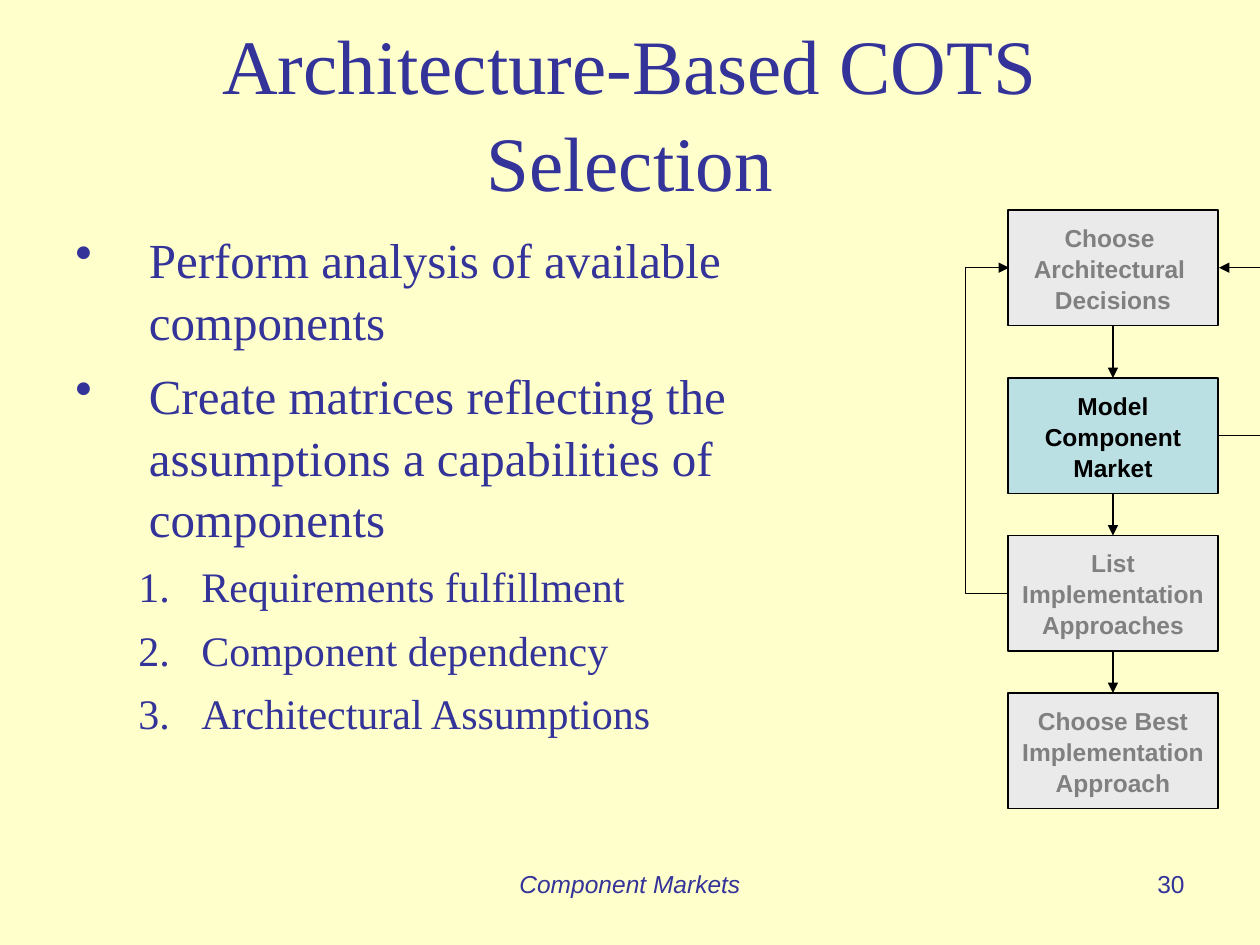
from dataclasses import dataclass

from pptx import Presentation
from pptx.dml.color import RGBColor
from pptx.enum.shapes import MSO_CONNECTOR, MSO_SHAPE
from pptx.enum.text import MSO_ANCHOR, PP_ALIGN
from pptx.oxml.xmlchemy import OxmlElement
from pptx.util import Emu, Pt

SCALE = 7620  # EMU per px, 120 px to the inch
COLORS = {
    "page": "FFFFCC", "navy": "333399", "black": "000000",
    "gray": "808080", "pale": "EAEAEA", "teal": "BBE0E3",
}
SERIF, SANS = "Times New Roman", "Arial"
LEFT, WIDE, HIGH = 960, 200, 110


@dataclass(frozen=True)
class Style:
    size: int
    face: str
    color: str = "navy"
    bold: bool = False
    slant: bool = False
    align: PP_ALIGN = PP_ALIGN.LEFT
    lead: float = 1.05


@dataclass(frozen=True)
class Level:
    style: Style
    margin: int
    hang: int
    before: int
    tag: str
    attrs: tuple[str, str]


@dataclass(frozen=True)
class Step:
    top: int
    lines: tuple[str, ...]
    live: bool = False

    @property
    def mid(self) -> int:
        return self.top + HIGH // 2

    @property
    def base(self) -> int:
        return self.top + HIGH


MAIN = Level(Style(28, SERIF), 70, 70, 7, "a:buChar", ("char", "•"))
SUB = Level(Style(24, SERIF), 120, 60, 6, "a:buAutoNum", ("type", "arabicPeriod"))
POINTS = (
    (MAIN, "Perform analysis of available components"),
    (MAIN, "Create matrices reflecting the assumptions a capabilities of components"),
    (SUB, "Requirements fulfillment"),
    (SUB, "Component dependency"),
    (SUB, "Architectural Assumptions"),
)
STEPS = (
    Step(200, ("Choose ", "Architectural ", "Decisions")),
    Step(360, ("Model", "Component", "Market"), live=True),
    Step(510, ("List", "Implementation", "Approaches")),
    Step(660, ("Choose Best", "Implementation", "Approach")),
)


def px(count: int) -> Emu:
    return Emu(count * SCALE)


def paint(name: str) -> RGBColor:
    return RGBColor.from_string(COLORS[name])


def write(para, text: str, style: Style) -> None:
    para.alignment = style.align
    para.line_spacing = style.lead
    run = para.add_run()
    run.text = text
    font = run.font
    font.size, font.name = Pt(style.size), style.face
    font.bold, font.italic = style.bold, style.slant
    font.color.rgb = paint(style.color)


def add_box(slide, left: int, top: int, width: int, height: int):
    frame = slide.shapes.add_textbox(px(left), px(top), px(width), px(height)).text_frame
    frame.word_wrap = True
    return frame


def add_point(para, level: Level, text: str) -> None:
    """Write one bulleted or numbered paragraph."""
    props = para._p.get_or_add_pPr()
    props.set("marL", str(px(level.margin)))
    props.set("indent", str(px(-level.hang)))
    mark = OxmlElement(level.tag)
    mark.set(*level.attrs)
    props.append(mark)
    write(para, text, level.style)


def add_step(slide, step: Step) -> None:
    shape = slide.shapes.add_shape(
        MSO_SHAPE.FLOWCHART_PROCESS, px(LEFT), px(step.top), px(WIDE), px(HIGH))
    shape.shadow.inherit = False
    shape.fill.solid()
    shape.fill.fore_color.rgb = paint("teal" if step.live else "pale")
    shape.line.color.rgb = paint("black")
    shape.line.width = Pt(0.75)
    frame = shape.text_frame
    frame.word_wrap = False
    frame.vertical_anchor = MSO_ANCHOR.MIDDLE
    style = Style(14, SANS, "black" if step.live else "gray", bold=True,
                  align=PP_ALIGN.CENTER)
    for rank, line in enumerate(step.lines):
        para = frame.add_paragraph() if rank else frame.paragraphs[0]
        write(para, line, style)


def add_arrow(slide, kind: MSO_CONNECTOR, start: tuple[int, int], end: tuple[int, int]):
    arrow = slide.shapes.add_connector(kind, *map(px, start + end))
    arrow.line.color.rgb = paint("black")
    arrow.line.width = Pt(0.75)
    head = OxmlElement("a:tailEnd")
    head.set("type", "triangle")
    arrow.line._get_or_add_ln().append(head)
    arrow._element.spPr.append(OxmlElement("a:effectLst"))
    return arrow


def add_loop(slide, side: int, reach: int, start: Step, end: Step) -> None:
    """Lead back up to an earlier step, bending out sideways by reach px."""
    arrow = add_arrow(slide, MSO_CONNECTOR.ELBOW, (side, start.mid), (side + 1, end.mid))
    guide = OxmlElement("a:gd")
    guide.set("name", "adj1")
    guide.set("fmla", f"val {reach * 100000}")
    arrow._element.spPr.prstGeom.get_or_add_avLst().append(guide)


def main() -> None:
    deck = Presentation()
    deck.slide_width, deck.slide_height = px(1200), px(900)
    slide = deck.slides.add_slide(deck.slide_layouts[6])
    slide.background.fill.solid()
    slide.background.fill.fore_color.rgb = paint("page")

    title = add_box(slide, 60, 30, 1080, 150)
    title.vertical_anchor = MSO_ANCHOR.MIDDLE
    write(title.paragraphs[0], "Architecture-Based COTS Selection",
          Style(44, SERIF, align=PP_ALIGN.CENTER))

    body = add_box(slide, 60, 210, 840, 594)
    for rank, (level, text) in enumerate(POINTS):
        para = body.add_paragraph() if rank else body.paragraphs[0]
        if rank:
            para.space_before = Pt(level.before)
        add_point(para, level, text)

    for step in STEPS:
        add_step(slide, step)
    mid = LEFT + WIDE // 2
    for step, after in zip(STEPS, STEPS[1:]):
        add_arrow(slide, MSO_CONNECTOR.STRAIGHT, (mid, step.base), (mid, after.top))
    add_loop(slide, LEFT, -41, STEPS[2], STEPS[0])
    add_loop(slide, LEFT + WIDE, 47, STEPS[1], STEPS[0])

    foot = add_box(slide, 410, 820, 380, 62)
    write(foot.paragraphs[0], "Component Markets",
          Style(14, SANS, slant=True, align=PP_ALIGN.CENTER))
    page = add_box(slide, 860, 820, 280, 62)
    write(page.paragraphs[0], "30", Style(14, SANS, align=PP_ALIGN.RIGHT))
    deck.save("out.pptx")


if __name__ == "__main__":
    main()
